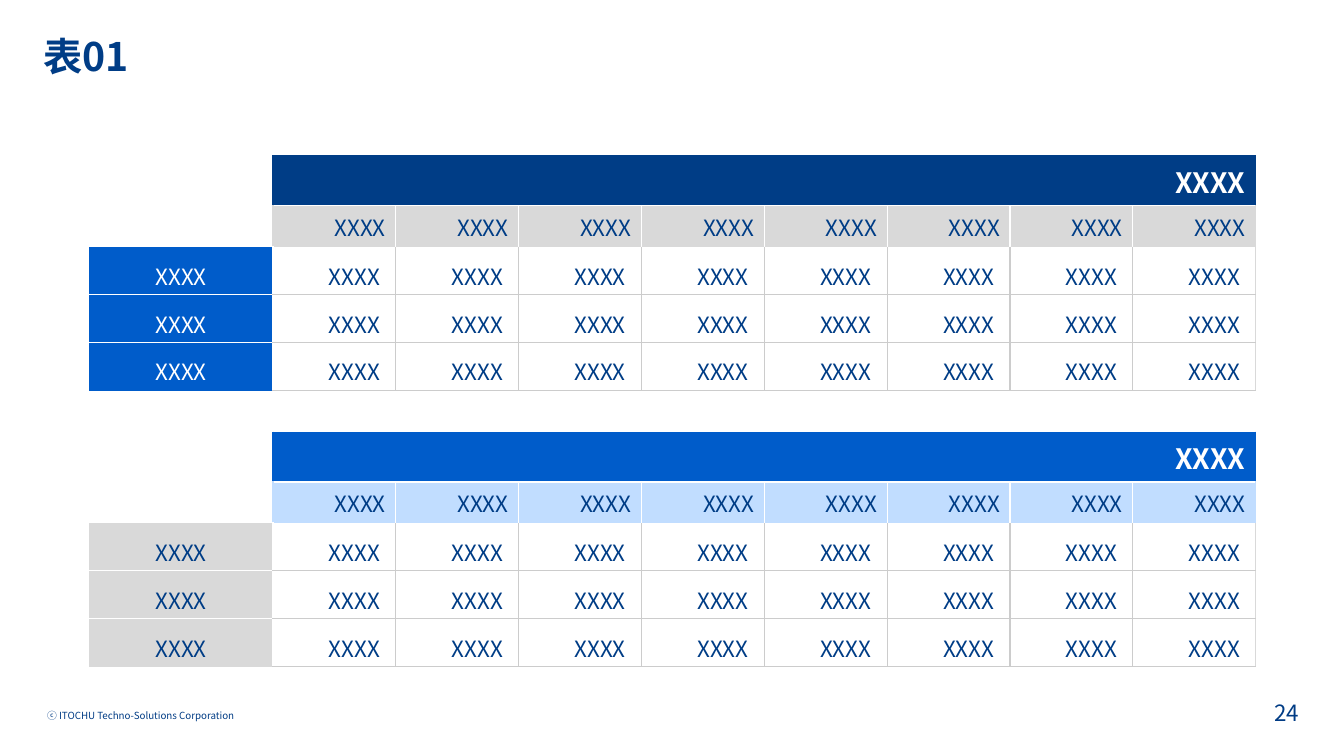
from dataclasses import dataclass
from typing import Optional

import pptx
import pptx.dml.color
import pptx.enum.text
import pptx.oxml.xmlchemy
import pptx.util

PX = 9525  # EMU per px, 96 px to the inch
ALIGN = pptx.enum.text.PP_ALIGN
ANCHOR = pptx.enum.text.MSO_ANCHOR


@dataclass(frozen=True)
class Theme:
    font: str = "Noto Sans CJK JP"
    navy: str = "003D86"
    footer: str = "013C85"
    blue: str = "005CCA"
    pale: str = "C1DDFF"
    grey: str = "D9D9D9"
    grid: str = "CCCCCC"
    white: str = "FFFFFF"
    title_pt: int = 28
    banner_pt: int = 20
    body_pt: int = 16
    small_pt: int = 7


T = Theme()


@dataclass(frozen=True)
class GridTable:
    top: int
    banner: str
    subhead: str
    stub: str
    stub_text: str


LEFT = 85
COLS = [175] + [117] * 8
ROWS = [48] + [39] * 4
LAST_COL, LAST_ROW = len(COLS), len(ROWS)
TABLES = [
    GridTable(411, T.blue, T.pale, T.grey, T.navy),
    GridTable(148, T.navy, T.grey, T.blue, T.white),
]


def px(n: int) -> pptx.util.Emu:
    return pptx.util.Emu(n * PX)


def rgb(value: str) -> pptx.dml.color.RGBColor:
    return pptx.dml.color.RGBColor.from_string(value)


def sub(parent, tag: str, **attrs: str):
    el = pptx.oxml.xmlchemy.OxmlElement(tag)
    for key, value in attrs.items():
        el.set(key, value)
    parent.append(el)
    return el


def write(tf, text: str, *, size: int = T.body_pt, color: str = T.navy,
          bold: bool = False, align=ALIGN.LEFT, spacing: Optional[float] = None) -> None:
    p = tf.paragraphs[0]
    p.alignment = align
    if spacing:
        p.line_spacing = spacing
    r = p.add_run()
    r.text = text
    r.font.size = pptx.util.Pt(size)
    r.font.name = T.font
    r.font.bold = bold
    r.font.color.rgb = rgb(color)
    sub(r.font._element, "a:ea", typeface=T.font)


def text_box(s, box: tuple[int, int, int, int], text: str, *,
             insets: tuple[int, int, int, int] = (10, 5, 10, 5),
             anchor=ANCHOR.TOP, **style) -> None:
    tf = s.shapes.add_textbox(*map(px, box)).text_frame
    tf.word_wrap = True
    tf.vertical_anchor = anchor
    tf.margin_left, tf.margin_top, tf.margin_right, tf.margin_bottom = map(px, insets)
    write(tf, text, **style)


def vertical_edge(t: GridTable, row: int, edge: int) -> Optional[str]:
    """Colour of the line to the left of column number edge."""
    if edge == 0:
        return None
    if row == 0:
        return t.banner
    if row == 1:
        return t.subhead if edge in (1, LAST_COL) else T.white
    return {1: T.white, LAST_COL: T.grey}.get(edge, T.grid)


def horizontal_edge(t: GridTable, edge: int, col: int) -> Optional[str]:
    """Colour of the line above row number edge."""
    if col == 0:
        return {0: None, 1: None, LAST_ROW: t.stub}.get(edge, T.white)
    return {0: None, 1: T.white, 2: None}.get(edge, T.grid)


def draw_borders(cell, t: GridTable, row: int, col: int) -> None:
    sides = {
        "L": vertical_edge(t, row, col),
        "R": vertical_edge(t, row, col + 1),
        "T": horizontal_edge(t, row, col),
        "B": horizontal_edge(t, row + 1, col),
    }
    tc_pr = cell._tc.get_or_add_tcPr()
    for side, color in sides.items():
        ln = sub(tc_pr, f"a:ln{side}", w=str(pptx.util.Pt(1)))
        if color:
            sub(sub(ln, "a:solidFill"), "a:srgbClr", val=color)
        else:
            sub(ln, "a:noFill")


def cell_fill(t: GridTable, row: int, col: int) -> Optional[str]:
    if row < 2:
        return (t.banner, t.subhead)[row] if col else None
    return None if col else t.stub


def draw_cell(cell, t: GridTable, row: int, col: int) -> None:
    draw_borders(cell, t, row, col)
    fill = cell_fill(t, row, col)
    if fill:
        cell.fill.solid()
        cell.fill.fore_color.rgb = rgb(fill)
    else:
        cell.fill.background()

    # Empty corner and merged cells keep a small type size so rows stay low
    if (row < 2 and col == 0) or (row == 0 and col > 1):
        sub(cell.text_frame.paragraphs[0]._p, "a:endParaRPr", sz="1200")
        return
    if row < 2:
        cell.vertical_anchor = ANCHOR.MIDDLE
    else:
        cell.margin_left = cell.margin_right = px(15)
        cell.margin_top, cell.margin_bottom = px(12), px(8)
    if row == 0:
        style = dict(size=T.banner_pt, color=T.white, bold=True, align=ALIGN.RIGHT)
    elif col == 0:
        style = dict(color=t.stub_text, align=ALIGN.CENTER)
    else:
        style = dict(align=ALIGN.RIGHT)
    write(cell.text_frame, "XXXX", **style)


def draw_table(s, t: GridTable) -> None:
    frame = s.shapes.add_table(LAST_ROW, LAST_COL, px(LEFT), px(t.top),
                               px(sum(COLS)), px(sum(ROWS)))
    table = frame.table
    table.first_row = table.horz_banding = False
    for column, width in zip(table.columns, COLS):
        column.width = px(width)
    for line, height in zip(table.rows, ROWS):
        line.height = px(height)
    table.cell(0, 1).merge(table.cell(0, LAST_COL - 1))
    for row in range(LAST_ROW):
        for col in range(LAST_COL):
            draw_cell(table.cell(row, col), t, row, col)


def main() -> None:
    prs = pptx.Presentation()
    prs.slide_width, prs.slide_height = px(1280), px(720)
    s = prs.slides.add_slide(prs.slide_layouts[6])

    # Footer
    text_box(s, (35, 671, 288, 35), "ⓒ ITOCHU Techno-Solutions Corporation",
             size=T.small_pt, color=T.footer)
    text_box(s, (959, 664, 288, 32), "24", color=T.footer,
             align=ALIGN.RIGHT, anchor=ANCHOR.BOTTOM)

    # Title
    text_box(s, (41, 36, 983, 45), "表01", insets=(0, 0, 0, 5),
             size=T.title_pt, bold=True, spacing=0.9)

    # Tables
    for t in TABLES:
        draw_table(s, t)

    prs.save("out.pptx")


if __name__ == "__main__":
    main()
